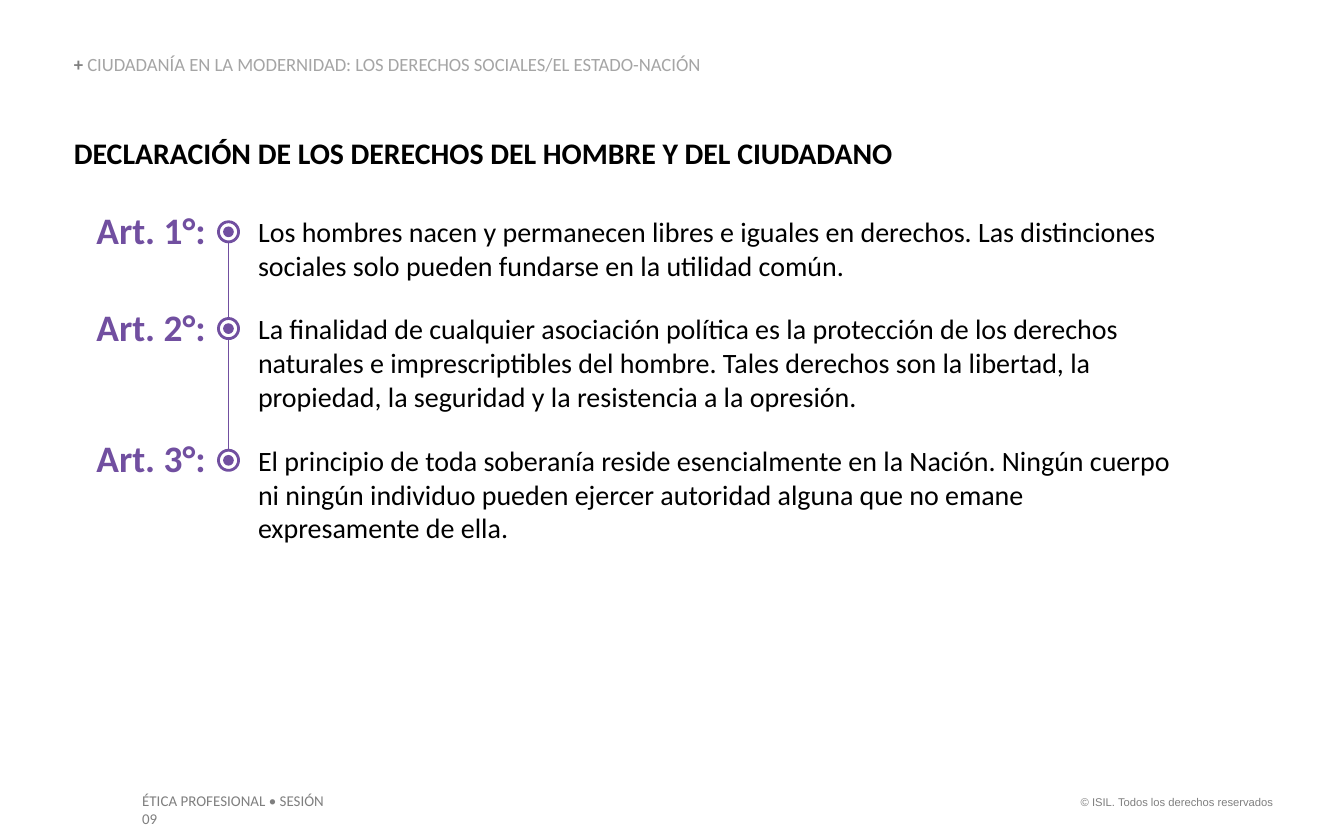
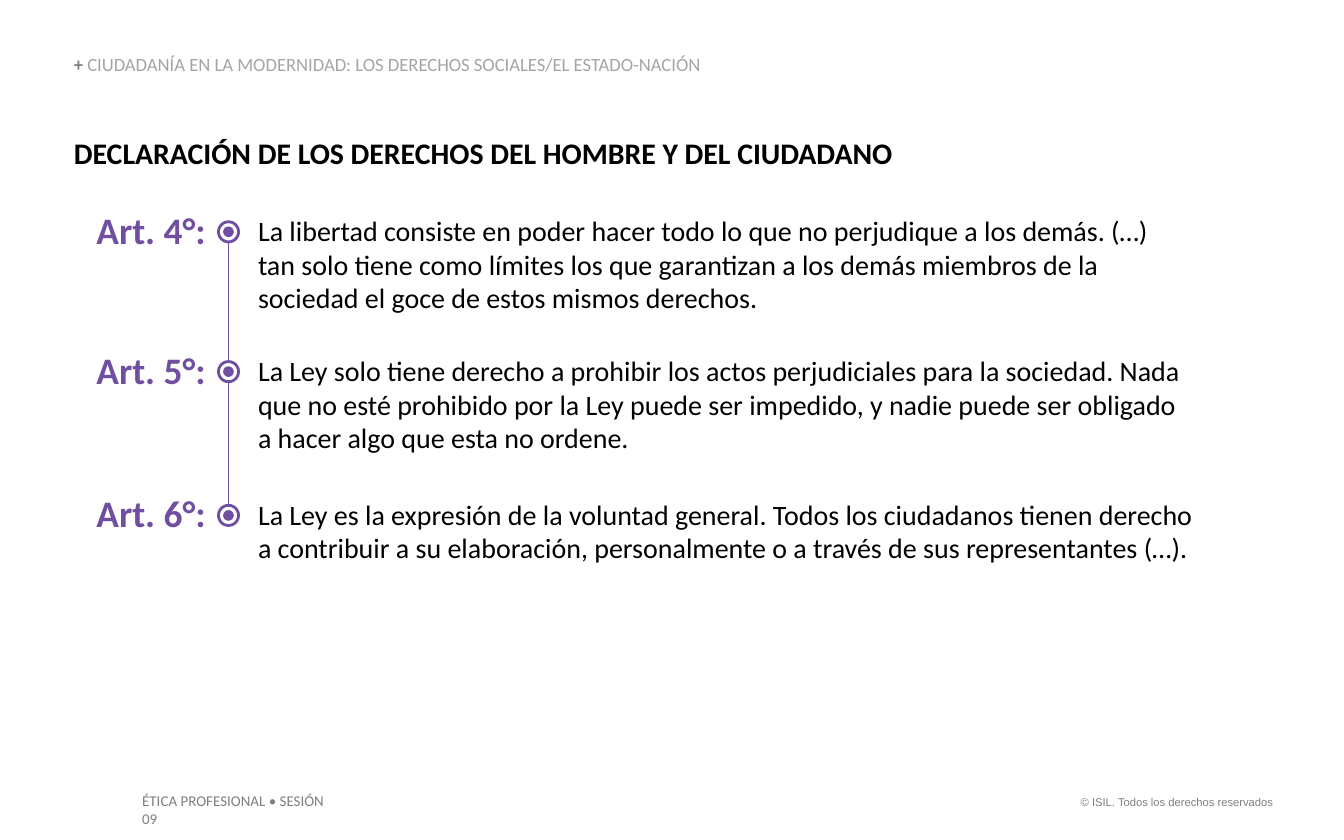
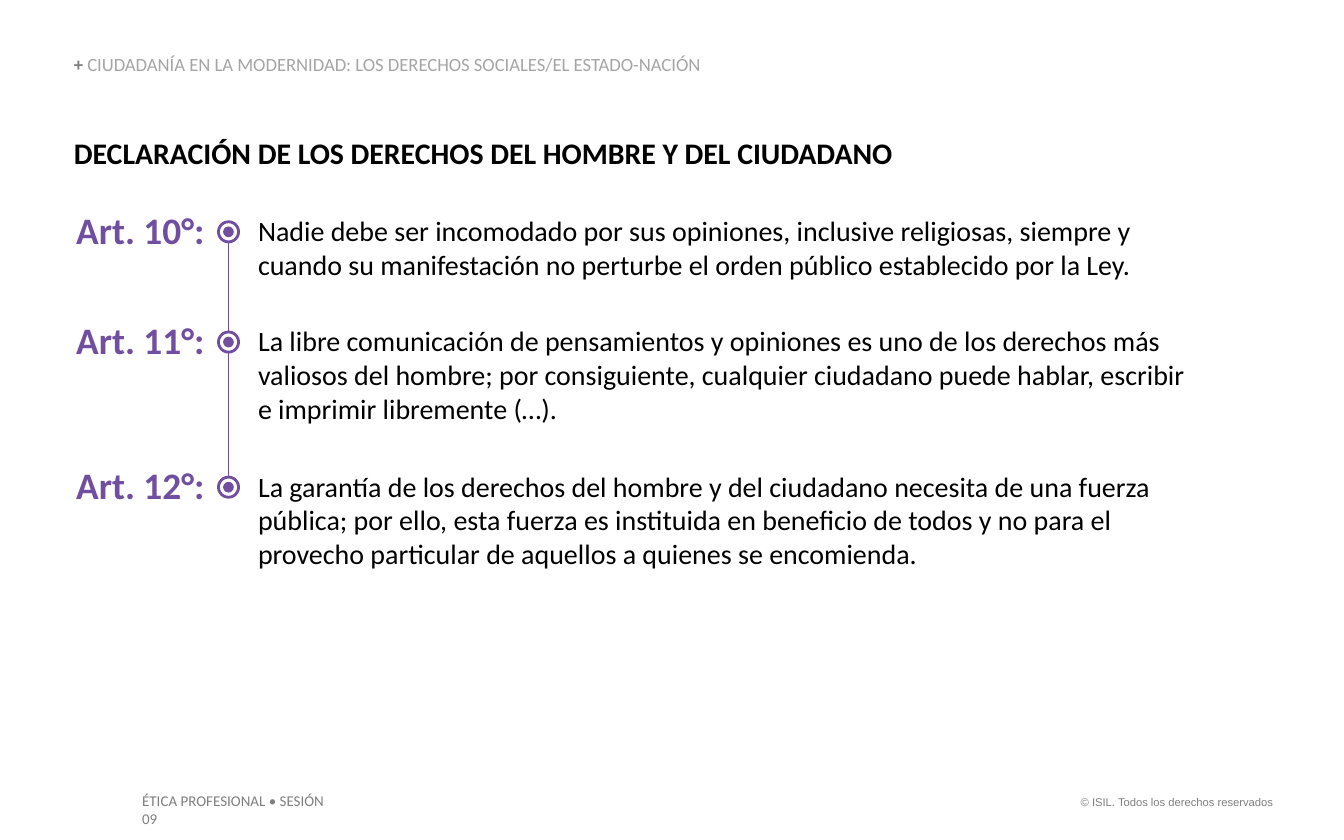
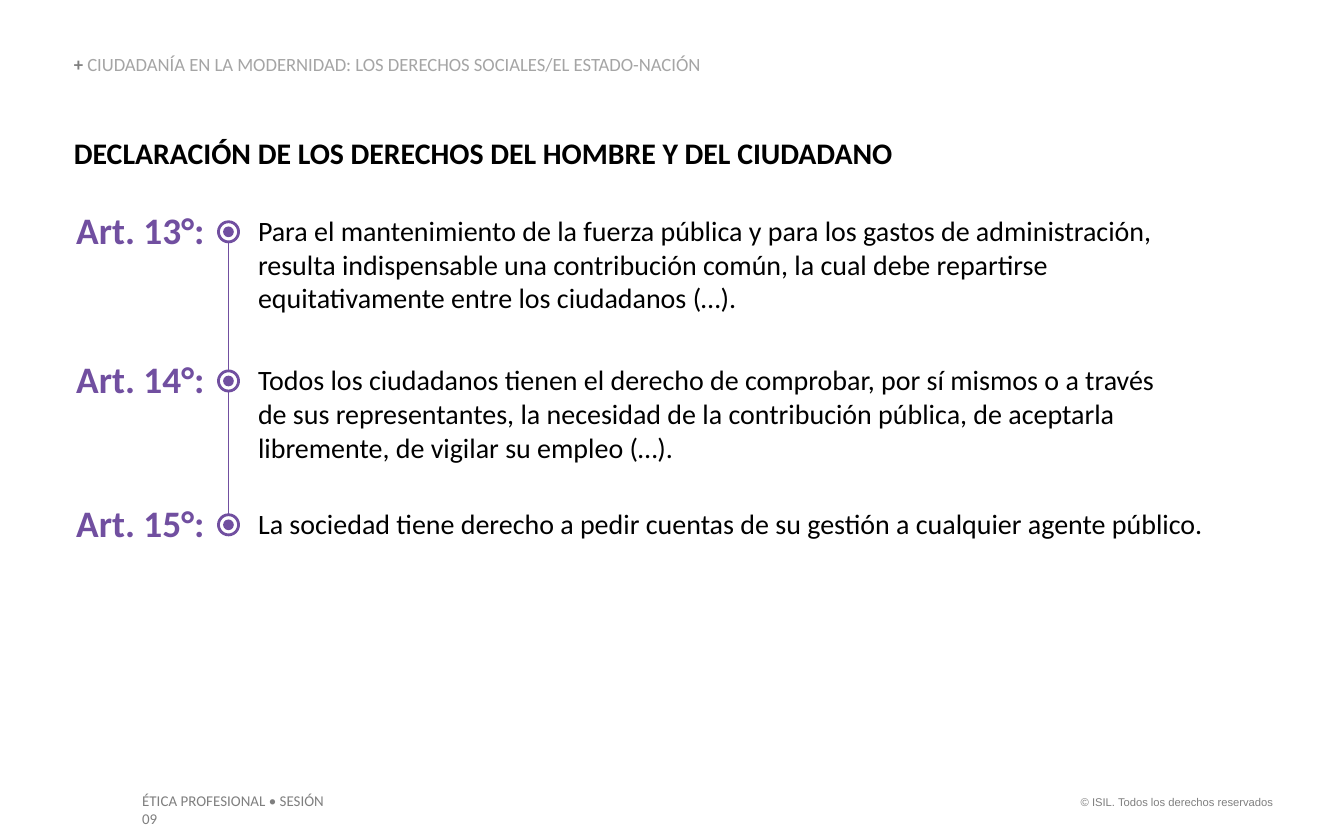
"""Build four slides on the Declaration of the Rights of Man and of the Citizen."""
from lxml import etree
from pptx import Presentation
from pptx.dml.color import RGBColor
from pptx.enum.shapes import MSO_CONNECTOR, MSO_SHAPE
from pptx.enum.text import MSO_ANCHOR, MSO_AUTO_SIZE, PP_ALIGN
from pptx.oxml.ns import qn
from pptx.util import Inches, Pt

STRAIGHT = MSO_CONNECTOR.STRAIGHT
OVAL = MSO_SHAPE.OVAL
TOP, BOTTOM = MSO_ANCHOR.TOP, MSO_ANCHOR.BOTTOM
GROW = MSO_AUTO_SIZE.SHAPE_TO_FIT_TEXT
LEFT, CENTER, RIGHT = PP_ALIGN.LEFT, PP_ALIGN.CENTER, PP_ALIGN.RIGHT

WHITE = RGBColor(0xFF, 0xFF, 0xFF)
BLACK = RGBColor(0x00, 0x00, 0x00)
GRAY = RGBColor(0x7F, 0x7F, 0x7F)
LIGHT_GRAY = RGBColor(0xA5, 0xA5, 0xA5)
PURPLE = RGBColor(0x71, 0x4F, 0xA0)

FORMATS = {
    "title": ({"name": "Calibri", "size": Pt(16), "bold": True}, BLACK),
    "plus": ({"name": "Calibri", "size": Pt(10), "bold": True}, GRAY),
    "topic": ({"name": "Calibri", "size": Pt(10), "bold": False}, LIGHT_GRAY),
    "label": ({"name": "Calibri", "size": Pt(20), "bold": True}, PURPLE),
    "article": ({"name": "Calibri", "size": Pt(15), "bold": False}, BLACK),
    "course": ({"name": "Calibri", "size": Pt(8), "bold": False}, GRAY),
    "rights": ({"name": "Arial", "size": Pt(6), "bold": False}, GRAY),
}

TITLE = "DECLARACIÓN DE LOS DERECHOS DEL HOMBRE Y DEL CIUDADANO"
TOPIC = "CIUDADANÍA EN LA MODERNIDAD: LOS DERECHOS SOCIALES/EL ESTADO-NACIÓN"
COURSE = "ÉTICA PROFESIONAL • SESIÓN 09"
RIGHTS = "© ISIL. Todos los derechos reservados"

AXIS = 1.7
RING_SIZE = 0.15
DOT_SIZE = 0.08
LABEL_RIGHT = 1.54
LABEL_LIFT = 0.11
LINE_HEIGHT = 0.25

# Each slide: lift of the texts above their rings, then its articles as
# (number, ring top, text width, text lines, text).
SLIDES = [
    (0.05, [
        (1, 1.65, 6.93, 2,
         "Los hombres nacen y permanecen libres e iguales en derechos. Las distinciones "
         "sociales solo pueden fundarse en la utilidad común."),
        (2, 2.37, 6.93, 3,
         "La finalidad de cualquier asociación política es la protección de los derechos "
         "naturales e imprescriptibles del hombre. Tales derechos son la libertad, la "
         "propiedad, la seguridad y la resistencia a la opresión."),
        (3, 3.35, 6.93, 3,
         "El principio de toda soberanía reside esencialmente en la Nación. Ningún cuerpo "
         "ni ningún individuo pueden ejercer autoridad alguna que no emane "
         "expresamente de ella."),
    ]),
    (0.06, [
        (4, 1.65, 6.93, 3,
         "La libertad consiste en poder hacer todo lo que no perjudique a los demás. (…) "
         "tan solo tiene como límites los que garantizan a los demás miembros de la "
         "sociedad el goce de estos mismos derechos."),
        (5, 2.69, 6.93, 3,
         "La Ley solo tiene derecho a prohibir los actos perjudiciales para la sociedad. Nada "
         "que no esté prohibido por la Ley puede ser impedido, y nadie puede ser obligado "
         "a hacer algo que esta no ordene."),
        (6, 3.76, 7, 2,
         "La Ley es la expresión de la voluntad general. Todos los ciudadanos tienen derecho "
         "a contribuir a su elaboración, personalmente o a través de sus representantes (…)."),
    ]),
    (0.06, [
        (10, 1.65, 6.93, 2,
         "Nadie debe ser incomodado por sus opiniones, inclusive religiosas, siempre y "
         "cuando su manifestación no perturbe el orden público establecido por la Ley."),
        (11, 2.47, 6.93, 3,
         "La libre comunicación de pensamientos y opiniones es uno de los derechos más "
         "valiosos del hombre; por consiguiente, cualquier ciudadano puede hablar, escribir "
         "e imprimir libremente (…)."),
        (12, 3.55, 7, 3,
         "La garantía de los derechos del hombre y del ciudadano necesita de una fuerza "
         "pública; por ello, esta fuerza es instituida en beneficio de todos y no para el "
         "provecho particular de aquellos a quienes se encomienda."),
    ]),
    (0.06, [
        (13, 1.65, 6.93, 3,
         "Para el mantenimiento de la fuerza pública y para los gastos de administración, "
         "resulta indispensable una contribución común, la cual debe repartirse "
         "equitativamente entre los ciudadanos (…)."),
        (14, 2.76, 6.93, 3,
         "Todos los ciudadanos tienen el derecho de comprobar, por sí mismos o a través "
         "de sus representantes, la necesidad de la contribución pública, de aceptarla "
         "libremente, de vigilar su empleo (…)."),
        (15, 3.83, 7.17, 1,
         "La sociedad tiene derecho a pedir cuentas de su gestión a cualquier agente público."),
    ]),
]


class Declaration:
    """Hold the deck, its style and the current slide."""

    def __init__(self):
        self.deck = Presentation()
        self.deck.slide_width, self.deck.slide_height = Inches(10), Inches(6.25)
        self.page = None

    def text(self, left, top, width, height, spans, align=LEFT, anchor=TOP,
             margins=(0, 0, 0, 0), line_spacing=None):
        """Add a text box of one paragraph made of (format, words) spans."""
        box = self.page.shapes.add_textbox(
            Inches(left), Inches(top), Inches(width), Inches(height))
        sides = ("margin_left", "margin_top", "margin_right", "margin_bottom")
        layout = dict(zip(sides, map(Inches, margins)))
        layout.update(word_wrap=True, auto_size=GROW, vertical_anchor=anchor)
        for name, value in layout.items():
            setattr(box.text_frame, name, value)
        para = box.text_frame.paragraphs[0]
        para.alignment, para.line_spacing = align, line_spacing
        for style, words in spans:
            span = para.add_run()
            span.text = words
            values, color = FORMATS[style]
            for name, value in values.items():
                setattr(span.font, name, value)
            span.font.color.rgb = color

    def circle(self, group, center, size, fill, outline=None):
        """Add a circle on the timeline axis to a group."""
        circle = group.shapes.add_shape(
            OVAL, Inches(AXIS - size / 2), Inches(center - size / 2),
            Inches(size), Inches(size))
        circle.shadow.inherit = False
        circle.fill.solid()
        circle.fill.fore_color.rgb = fill
        if outline is None:
            circle.line.fill.background()
        else:
            circle.line.color.rgb = outline
            circle.line.width = Pt(1.5)

    def marker(self, top):
        """Add a ring with a dot in its middle."""
        group = self.page.shapes.add_group_shape()
        center = top + RING_SIZE / 2
        self.circle(group, center, RING_SIZE, WHITE, PURPLE)
        self.circle(group, center, DOT_SIZE, PURPLE)

    def axis(self, first_ring, last_ring):
        """Add the line from the first ring to the last."""
        line = self.page.shapes.add_connector(
            STRAIGHT, Inches(AXIS), Inches(first_ring + RING_SIZE),
            Inches(AXIS), Inches(last_ring))
        line.line.color.rgb = PURPLE
        line.line.width = Pt(1)
        etree.SubElement(line._element.spPr, qn("a:effectLst"))

    def article(self, number, ring_top, width, lines, words, text_lift):
        """Add the label, marker and text of one article."""
        label_width = 0.83 if number < 10 else 0.99
        self.text(1.92, ring_top - text_lift, width, lines * LINE_HEIGHT,
                  [("article", words)])
        self.text(LABEL_RIGHT - label_width, ring_top - LABEL_LIFT, label_width, 0.34,
                  [("label", f"Art. {number}°:")], CENTER)
        self.marker(ring_top)

    def frame(self):
        """Start a slide with its header, title and footers."""
        self.page = self.deck.slides.add_slide(self.deck.slide_layouts[6])
        self.text(7.88, 5.87, 1.69, 0.2, [("rights", RIGHTS)], RIGHT,
                  margins=(0.1, 0.05, 0.1, 0.05))
        self.text(0.96, 5.84, 1.74, 0.24, [("course", COURSE)],
                  margins=(0.1, 0.05, 0.2, 0.05))
        self.text(0.55, 1, 6.55, 0.27, [("title", TITLE)])
        self.text(0.55, 0.41, 5.23, 0.15, [("plus", "+ "), ("topic", TOPIC)],
                  anchor=BOTTOM, line_spacing=0.9)

    def timeline(self, text_lift, articles):
        """Add a slide with a timeline of articles."""
        self.frame()
        self.axis(articles[0][1], articles[-1][1])
        for article in articles:
            self.article(*article, text_lift)


def main():
    """Build and save the deck."""
    declaration = Declaration()
    for text_lift, articles in SLIDES:
        declaration.timeline(text_lift, articles)
    declaration.deck.save("out.pptx")


if __name__ == "__main__":
    main()
